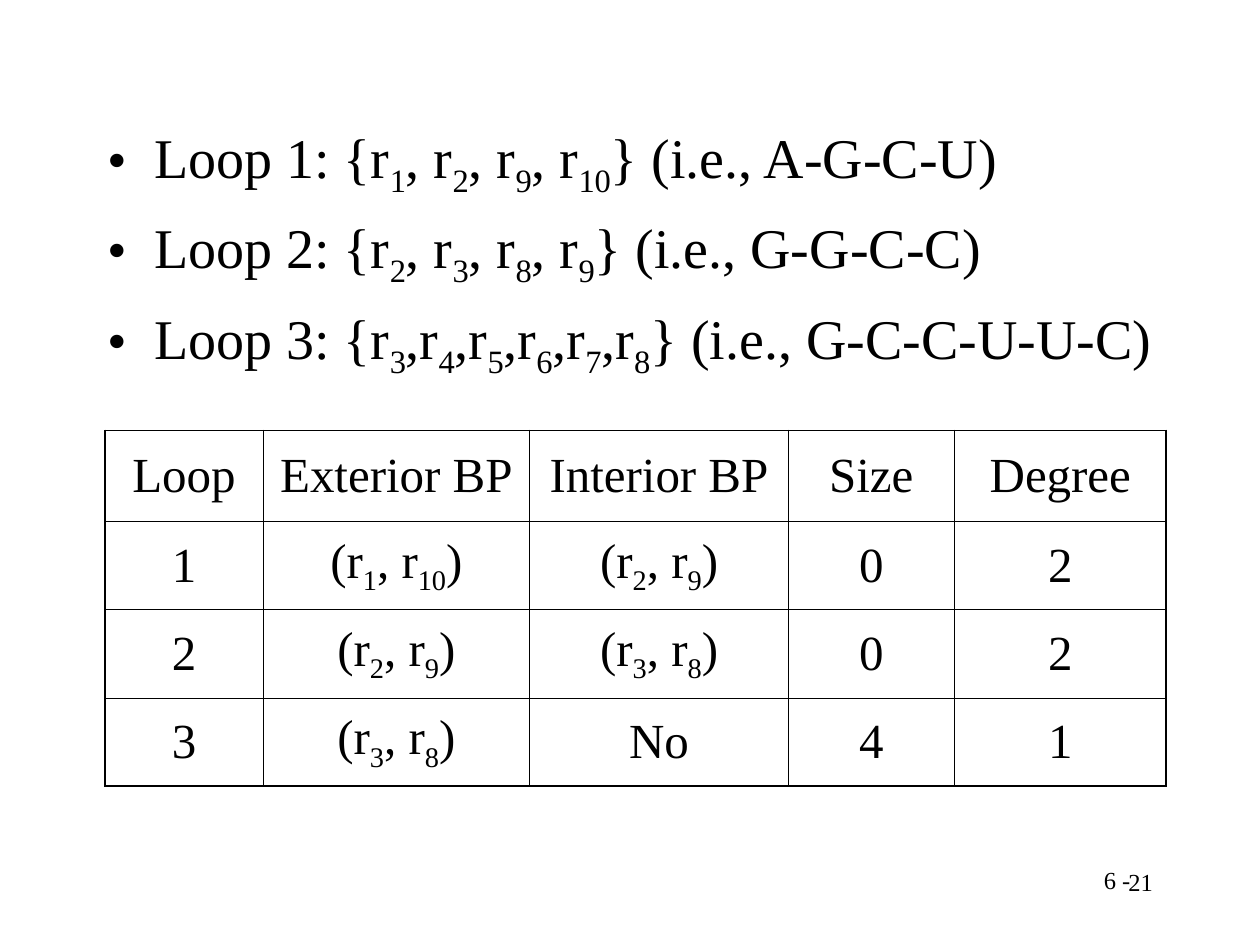
"""Builds the slide that lists the loops of an RNA structure."""
from dataclasses import dataclass

from lxml import etree
from pptx import Presentation
from pptx import util as u
from pptx.dml import color
from pptx.enum import text as t
from pptx.oxml import ns


@dataclass(frozen=True)
class Theme:
    font: str = "Times New Roman"
    ink: str = "000000"
    body: float = 32
    cell: float = 28
    foot: float = 14
    outer: float = 1.08
    inner: float = 0.45


THEME = Theme()
LOOPS = [
    "Loop 1: {r|1|, r|2|, r|9|, r|10|} (i.e., A-G-C-U)",
    "Loop 2: {r|2|, r|3|, r|8|, r|9|} (i.e., G-G-C-C)",
    "Loop 3: {r|3|,r|4|,r|5|,r|6|,r|7|,r|8|} (i.e., G-C-C-U-U-C)",
]
ROWS = [
    ["Loop", "Exterior BP", "Interior BP", "Size", "Degree"],
    ["1", "(r|1|, r|10|)", "(r|2|, r|9|)", "0", "2"],
    ["2", "(r|2|, r|9|)", "(r|3|, r|8|)", "0", "2"],
    ["3", "(r|3|, r|8|)", "No", "4", "1"],
]
WIDTHS = [3.18, 5.38, 5.21, 3.35, 4.27]
HEIGHTS = [1.83, 1.78, 1.78, 1.78]


def write(para, words, size, align=t.PP_ALIGN.LEFT):
    para.alignment = align
    for i, part in enumerate(words.split("|")):
        run = para.add_run()
        run.text = part
        run.font.name = THEME.font
        run.font.size = u.Pt(size)
        run.font.color.rgb = color.RGBColor.from_string(THEME.ink)
        if i % 2:
            run.font._element.set("baseline", "-25000")


def add_box(slide, left, top, width, height):
    frame = slide.shapes.add_textbox(
        u.Cm(left), u.Cm(top), u.Cm(width), u.Cm(height)).text_frame
    frame.word_wrap = True
    return frame


def add_mark(para):
    props = para._p.get_or_add_pPr()
    props.set("marL", str(u.Cm(0.95)))
    props.set("indent", str(-u.Cm(0.95)))
    etree.SubElement(props, ns.qn("a:buFont"), typeface=THEME.font)
    etree.SubElement(props, ns.qn("a:buChar"), char="•")


def add_list(slide, lines):
    frame = add_box(slide, 1.91, 2.34, 22.02, 14.61)
    for i, line in enumerate(lines):
        para = frame.add_paragraph() if i else frame.paragraphs[0]
        add_mark(para)
        if i:
            para.space_before = u.Pt(8)
        write(para, line, THEME.body)


def add_edge(cell, side, width):
    line = etree.SubElement(cell._tc.get_or_add_tcPr(),
                            ns.qn(f"a:ln{side}"), w=str(u.Pt(width)))
    fill = etree.SubElement(line, ns.qn("a:solidFill"))
    etree.SubElement(fill, ns.qn("a:srgbClr"), val=THEME.ink)


def add_grid(slide, rows):
    table = slide.shapes.add_table(
        len(rows), len(WIDTHS), u.Cm(2.12), u.Cm(8.68),
        u.Cm(sum(WIDTHS)), u.Cm(sum(HEIGHTS))).table
    table.first_row = table.horz_banding = False
    for col, width in zip(table.columns, WIDTHS):
        col.width = u.Cm(width)
    for r, (row, height) in enumerate(zip(rows, HEIGHTS)):
        table.rows[r].height = u.Cm(height)
        for c, words in enumerate(row):
            cell = table.cell(r, c)
            cell.vertical_anchor = t.MSO_ANCHOR.MIDDLE
            write(cell.text_frame.paragraphs[0], words, THEME.cell,
                  t.PP_ALIGN.CENTER)
            rims = {"L": c == 0, "R": c == len(row) - 1,
                    "T": r == 0, "B": r == len(rows) - 1}
            for side, rim in rims.items():
                add_edge(cell, side, THEME.outer if rim else THEME.inner)
            cell.fill.background()


def add_foot(slide):
    write(add_box(slide, 18.5, 17.32, 8.04, 1.27).paragraphs[0],
          "6 -", THEME.foot, t.PP_ALIGN.CENTER)
    write(add_box(slide, 18.2, 17.35, 5.29, 1.27).paragraphs[0],
          "21", THEME.foot, t.PP_ALIGN.RIGHT)


def main():
    deck = Presentation()
    deck.slide_width, deck.slide_height = u.Cm(25.4), u.Cm(19.05)
    slide = deck.slides.add_slide(deck.slide_layouts[6])
    add_list(slide, LOOPS)
    add_grid(slide, ROWS)
    add_foot(slide)
    deck.save("out.pptx")


if __name__ == "__main__":
    main()
